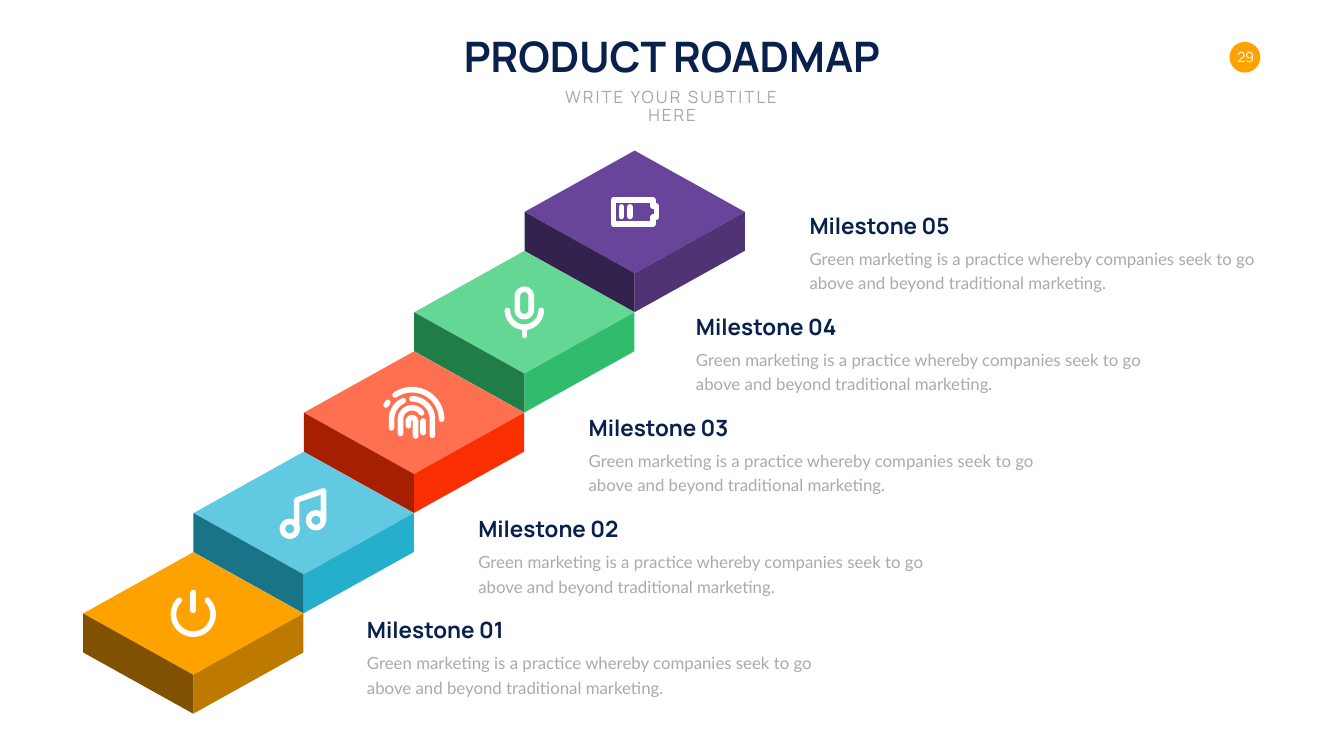
from math import cos, radians, sin

from lxml import etree
from pptx import Presentation
from pptx.dml.color import RGBColor
from pptx.enum.shapes import MSO_SHAPE
from pptx.enum.text import MSO_ANCHOR, MSO_AUTO_SIZE, PP_ALIGN
from pptx.oxml.ns import qn
from pptx.util import Cm, Pt

PAPER = RGBColor(0xFE, 0xFF, 0xFE)
WHITE = RGBColor(0xFF, 0xFF, 0xFF)
NAVY = RGBColor(0x08, 0x20, 0x4C)
ORANGE = RGBColor(0xFE, 0xA2, 0x00)
SUBTITLE_GRAY = RGBColor(0xA6, 0xA6, 0xA6)
BODY_GRAY = RGBColor(0xAA, 0xAA, 0xAA)

TITLE = "PRODUCT ROADMAP"
SUBTITLE = "WRITE YOUR SUBTITLE HERE"
PAGE = "29"
DESCRIPTION = ("Green marketing is a practice whereby companies seek to go "
               "above and beyond traditional marketing.")

# Heading, text left in cm, colours of the top, right and left faces, icon
STEPS = [
    ("Milestone 01", 18.24, ("FEA200", "BE7A00", "7F5100"), "power"),
    ("Milestone 02", 23.85, ("61CAE2", "26AECD", "197488"), "music"),
    ("Milestone 03", 29.41, ("FE7050", "F92F01", "A61F01"), "fingerprint"),
    ("Milestone 04", 34.82, ("64D795", "30BC6C", "207D48"), "microphone"),
    ("Milestone 05", 40.54, ("69449B", "4F3374", "34224E"), "battery"),
]

# All geometry is in cm
FIRST_X, FIRST_Y = 9.74, 30.92
STEP_X, STEP_Y = 5.56, -5.06
HALF_W, HALF_H, DEPTH = 5.55, 3.09, 1.96
HEADING_Y, HEADING_STEP, HEADING_H = 30.94, -5.1, 1.63


def arc(x, y, radius, start, end, count=24):
    """Points along an arc; angles in degrees, clockwise from the right."""
    angles = [radians(start + (end - start) * i / count) for i in range(count + 1)]
    return [(x + radius * cos(a), y + radius * sin(a)) for a in angles]


# Strokes of each icon, relative to the centre of its tile
ICONS = {
    "power": [arc(0, 0.04, 1, -45, 225), [(0, -1.06), (0, -0.16)]],
    "music": [
        arc(-0.7, 0.79, 0.37, 0, 360),
        arc(0.62, 0.36, 0.37, 0, 360),
        [(-0.35, 0.79), (-0.35, -0.66), (1, -1.12), (1, 0.36)],
    ],
    "fingerprint": [
        arc(-0.1, 0.33, 1.49, 235, 360),
        arc(-0.1, 0.33, 1.03, 270, 360) + [(0.93, 1.14)],
        arc(-0.1, 0.33, 1.03, 245, 180) + [(-1.13, 0.77)],
        arc(-0.1, 0.33, 0.58, 327, 180) + [(-0.68, 1.05)],
        [(-0.28, 0.66)] + arc(-0.1, 0.43, 0.18, 180, 360) + [(0.08, 1.18)],
        [(0.47, 0.42), (0.47, 1)],
        [(-1.41, -0.39), (-1.32, -0.52)],
    ],
    "microphone": [
        arc(0, -0.81, 0.35, 180, 360) + arc(0, -0.13, 0.35, 0, 180) + [(-0.35, -0.81)],
        arc(0, -0.1, 0.85, 0, 180),
        [(0, 0.75), (0, 1.17)],
    ],
    "battery": [
        [(-1.07, -0.6), (0.91, -0.6), (0.91, -0.29), (1.09, -0.29), (1.09, 0.27),
         (0.91, 0.27), (0.91, 0.62), (-1.07, 0.62), (-1.07, -0.6)],
        [(-0.67, -0.25), (-0.67, 0.23)],
        [(-0.24, -0.25), (-0.24, 0.23)],
    ],
}


def add_outline(s, x, y, strokes, close):
    """Freeform made of strokes whose points are relative to (x, y)."""
    paths = [[(Cm(x + dx), Cm(y + dy)) for dx, dy in stroke] for stroke in strokes]
    builder = s.shapes.build_freeform(*paths[0][0])
    for i, points in enumerate(paths):
        if i:
            builder.move_to(*points[0])
        builder.add_line_segments(points[1:], close=close)
    sp = builder.convert_to_shape()
    sp.shadow.inherit = False
    return sp


def add_block(s, x, y, colors):
    left, right = (-HALF_W, 0), (HALF_W, 0)
    back, front = (0, -HALF_H), (0, HALF_H)
    low_left, low_right = (-HALF_W, DEPTH), (HALF_W, DEPTH)
    low_front = (0, HALF_H + DEPTH)
    faces = [
        [back, right, front, left],
        [right, low_right, low_front, front],
        [front, low_front, low_left, left],
    ]
    for face, color in zip(faces, colors):
        sp = add_outline(s, x, y, [face], close=True)
        sp.fill.solid()
        sp.fill.fore_color.rgb = RGBColor.from_string(color)
        sp.line.fill.background()


def add_icon(s, x, y, name):
    sp = add_outline(s, x, y, ICONS[name], close=False)
    sp.fill.background()
    sp.line.color.rgb = WHITE
    sp.line.width = Pt(8)
    ln = sp.line._get_or_add_ln()
    ln.set("cap", "rnd")
    etree.SubElement(ln, qn("a:round"))


def place(sp, x, y, w, h):
    sp.left, sp.top, sp.width, sp.height = Cm(x), Cm(y), Cm(w), Cm(h)


def write(sp, text, font, size, color, bold=False, align=PP_ALIGN.LEFT,
          anchor=MSO_ANCHOR.TOP, spacing=0.9):
    tf = sp.text_frame
    tf.word_wrap = True
    tf.auto_size = MSO_AUTO_SIZE.NONE
    tf.vertical_anchor = anchor
    p = tf.paragraphs[0]
    p.text = text
    p.alignment = align
    p.line_spacing = spacing
    p.space_before = Pt(0)
    p.font.name, p.font.size, p.font.bold = font, Pt(size), bold
    p.font.color.rgb = color
    return p


def add_text(s, x, y, w, h, *args, **kwargs):
    write(s.shapes.add_textbox(Cm(x), Cm(y), Cm(w), Cm(h)), *args, **kwargs)


def add_page_badge(s):
    sp = s.shapes.add_shape(MSO_SHAPE.OVAL, Cm(61.95), Cm(2.11), Cm(1.55), Cm(1.55))
    sp.shadow.inherit = False
    sp.fill.solid()
    sp.fill.fore_color.rgb = ORANGE
    sp.line.fill.background()
    write(sp, PAGE, "Manrope", 20, WHITE, align=PP_ALIGN.CENTER,
          anchor=MSO_ANCHOR.MIDDLE)
    tf = sp.text_frame
    tf.margin_left, tf.margin_top = Cm(0.1), Cm(0.12)
    tf.margin_right = tf.margin_bottom = 0
    tf.word_wrap = False


def main():
    prs = Presentation()
    prs.slide_width, prs.slide_height = Cm(67.72), Cm(38.1)
    s = prs.slides.add_slide(prs.slide_layouts[0])
    s.background.fill.solid()
    s.background.fill.fore_color.rgb = PAPER

    title, subtitle = s.placeholders
    place(title, 22.66, 1.7, 22.4, 2.82)
    write(title, TITLE, "Manrope", 60, NAVY, bold=True, align=PP_ALIGN.CENTER)
    place(subtitle, 26.97, 4.37, 13.79, 2.3)
    p = write(subtitle, SUBTITLE, "Manrope", 24, SUBTITLE_GRAY, align=PP_ALIGN.CENTER)
    p.runs[0].font._element.set("spc", "300")
    add_page_badge(s)

    for i, (heading, left, colors, icon) in enumerate(STEPS):
        x, y = FIRST_X + i * STEP_X, FIRST_Y + i * STEP_Y
        add_block(s, x, y, colors)
        add_icon(s, x, y, icon)
        top = HEADING_Y + i * HEADING_STEP
        add_text(s, left, top, 8.2, HEADING_H, heading, "Manrope", 32, NAVY,
                 bold=True, anchor=MSO_ANCHOR.BOTTOM)
        add_text(s, left, top + HEADING_H, 22.96, 2.62, DESCRIPTION, "Lato", 24,
                 BODY_GRAY, spacing=Pt(35))

    prs.save("out.pptx")


if __name__ == "__main__":
    main()
